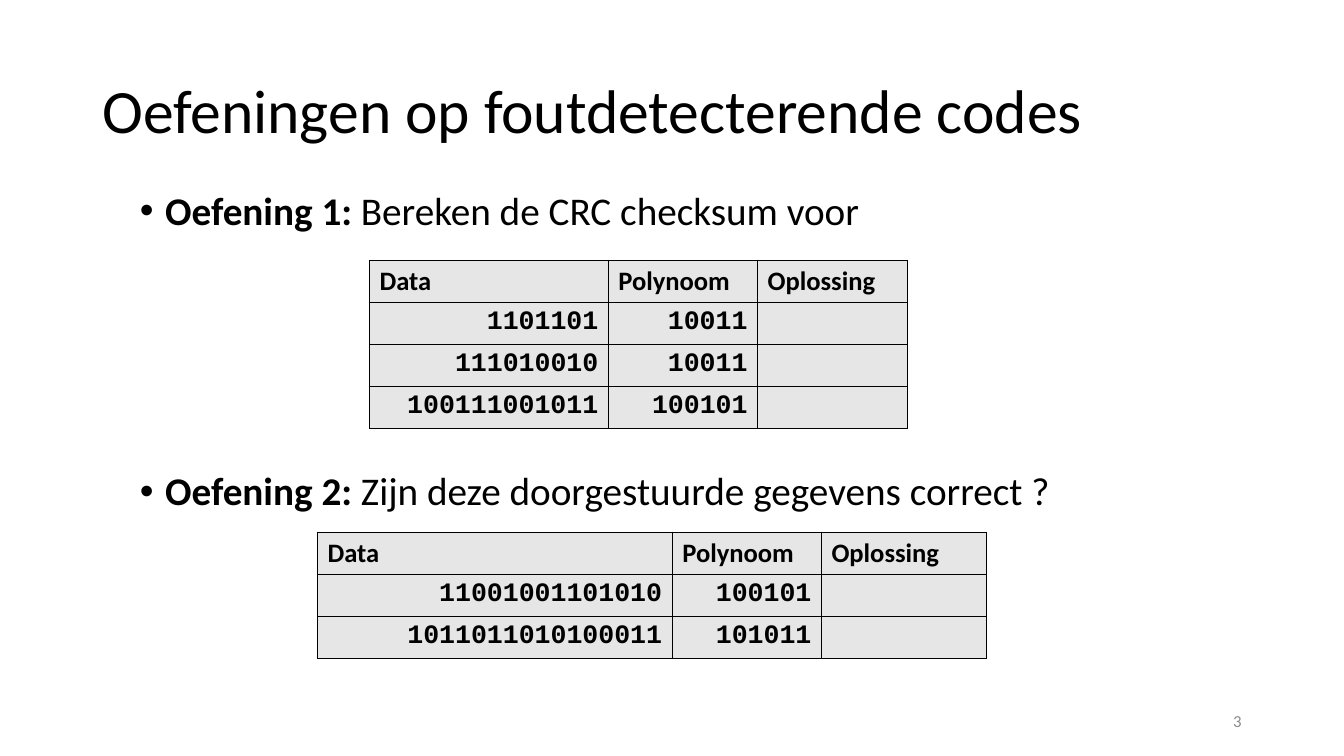
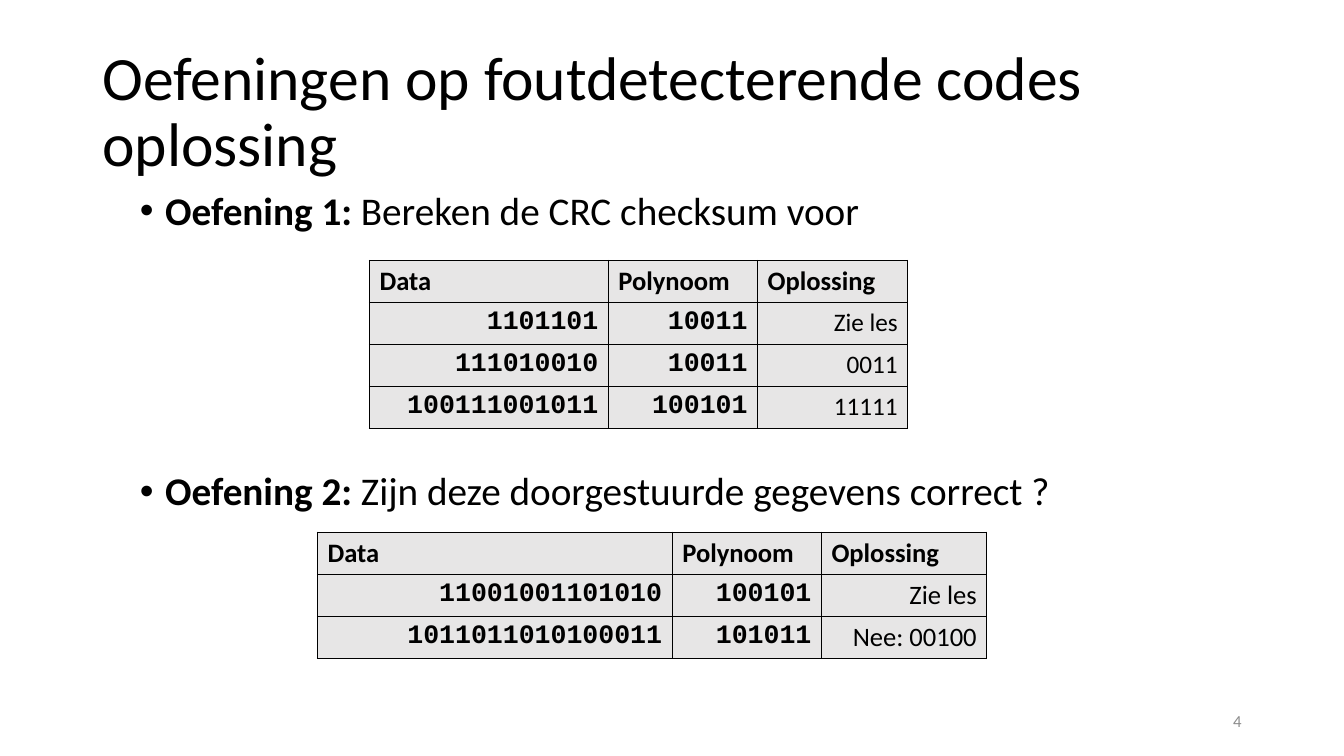
from dataclasses import dataclass

from lxml import etree
from pptx import Presentation
from pptx.dml.color import RGBColor
from pptx.enum.text import MSO_ANCHOR, PP_ALIGN
from pptx.oxml.ns import qn
from pptx.util import Pt

LEFT, RIGHT = PP_ALIGN.LEFT, PP_ALIGN.RIGHT
TOP, MIDDLE = MSO_ANCHOR.TOP, MSO_ANCHOR.MIDDLE


@dataclass(frozen=True)
class Theme:
    ink: RGBColor = RGBColor(0x00, 0x00, 0x00)
    muted: RGBColor = RGBColor(0x8C, 0x8C, 0x8C)
    cell: RGBColor = RGBColor(0xE7, 0xE6, 0xE6)
    sans: str = "Calibri"
    mono: str = "Courier New"
    title: int = 44
    body: int = 28
    code: int = 19
    footer: int = 12


THEME = Theme()
HEADER = ("Data", "Polynoom", "Oplossing")
ROW_HEIGHT = 29.5
INDENT = 18

# One entry per exercise: prompt, space above it, table corner, columns and rows.
EXERCISES = [
    {
        "label": "Oefening 1:",
        "prompt": " Bereken de CRC checksum voor",
        "space_before": 10,
        "corner": (264, 186),
        "columns": (170.6, 106.6, 107.3),
        "rows": [("1101101", "10011"), ("111010010", "10011"),
                 ("100111001011", "100101")],
        "answer_size": 18,
    },
    {
        "label": "Oefening 2:",
        "prompt": " Zijn deze doorgestuurde gegevens correct ?",
        "space_before": 170,
        "corner": (226.8, 380.2),
        "columns": (253.4, 106.6, 118.1),
        "rows": [("11001001101010", "100101"), ("1011011010100011", "101011")],
        "answer_size": 19,
    },
]

# Title and, for each exercise, the answers shown in the last column.
PAGES = [
    ("Oefeningen op foutdetecterende codes",
     [("", "", ""), ("", "")]),
    ("Oefeningen op foutdetecterende codes oplossing",
     [("Zie les", "0011", "11111"), ("Zie les", "Nee: 00100")]),
]
FIRST_NUMBER = 3


def add_text_box(page, left, top, width, height, anchor):
    frame = page.shapes.add_textbox(Pt(left), Pt(top), Pt(width), Pt(height)).text_frame
    frame.word_wrap = True
    frame.vertical_anchor = anchor
    return frame


def style(para, size, color=THEME.ink, name=THEME.sans, bold=False, align=LEFT):
    para.alignment = align
    para.font.size = Pt(size)
    para.font.name = name
    para.font.bold = bold
    para.font.color.rgb = color


deck = Presentation()
deck.slide_width, deck.slide_height = Pt(960), Pt(540)
blank = deck.slide_layouts[6]

for number, (title, answers) in enumerate(PAGES, start=FIRST_NUMBER):
    page = deck.slides.add_slide(blank)

    para = add_text_box(page, 66, 28.8, 828, 104.4, MIDDLE).paragraphs[0]
    para.text = title
    para.line_spacing = 0.9
    style(para, THEME.title)

    body = add_text_box(page, 92.9, 133.2, 828.7, 344.2, TOP)
    for index, exercise in enumerate(EXERCISES):
        para = body.paragraphs[0] if index == 0 else body.add_paragraph()
        properties = para._p.get_or_add_pPr()
        properties.set("marL", str(Pt(INDENT)))
        properties.set("indent", str(-Pt(INDENT)))
        etree.SubElement(properties, qn("a:buFont"), typeface="Arial")
        etree.SubElement(properties, qn("a:buChar"), char="•")
        para.line_spacing = 0.9
        para.space_before = Pt(exercise["space_before"])
        style(para, THEME.body)
        for text, bold in ((exercise["label"], True), (exercise["prompt"], False)):
            span = para.add_run()
            span.text = text
            span.font.bold = bold

    for exercise, solutions in zip(EXERCISES, answers):
        left, top = exercise["corner"]
        columns = exercise["columns"]
        rows = [HEADER] + [row + (answer,) for row, answer in zip(exercise["rows"], solutions)]
        table = page.shapes.add_table(
            len(rows), len(columns), Pt(left), Pt(top),
            Pt(sum(columns)), Pt(ROW_HEIGHT * len(rows))).table
        table.first_row = table.horz_banding = False
        for column, width in zip(table.columns, columns):
            column.width = Pt(width)

        for row_index, row in enumerate(rows):
            table.rows[row_index].height = Pt(ROW_HEIGHT)
            for column_index, text in enumerate(row):
                cell = table.cell(row_index, column_index)
                cell_properties = cell._tc.get_or_add_tcPr()
                for side in ("a:lnL", "a:lnR", "a:lnT", "a:lnB"):
                    border = etree.SubElement(cell_properties, qn(side), w=str(Pt(1)))
                    line_fill = etree.SubElement(border, qn("a:solidFill"))
                    etree.SubElement(line_fill, qn("a:srgbClr"), val=str(THEME.ink))
                cell.fill.solid()
                cell.fill.fore_color.rgb = THEME.cell

                para = cell.text_frame.paragraphs[0]
                para.text = text
                if row_index == 0:
                    style(para, THEME.code, bold=True)
                elif column_index < 2:
                    style(para, THEME.code, name=THEME.mono, bold=True, align=RIGHT)
                else:
                    style(para, exercise["answer_size"], align=RIGHT)

    para = add_text_box(page, 678, 500.5, 216, 28.8, MIDDLE).paragraphs[0]
    para.text = str(number)
    style(para, THEME.footer, color=THEME.muted, align=RIGHT)

deck.save("out.pptx")
